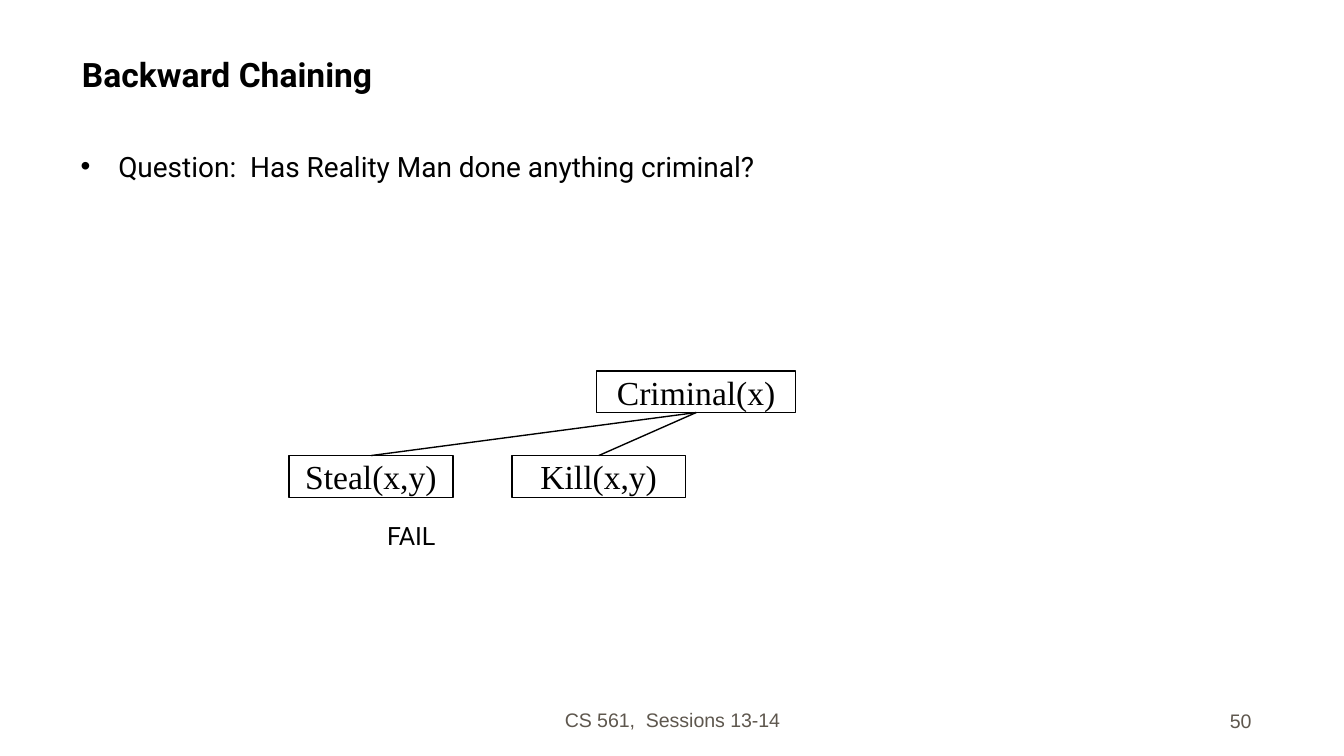
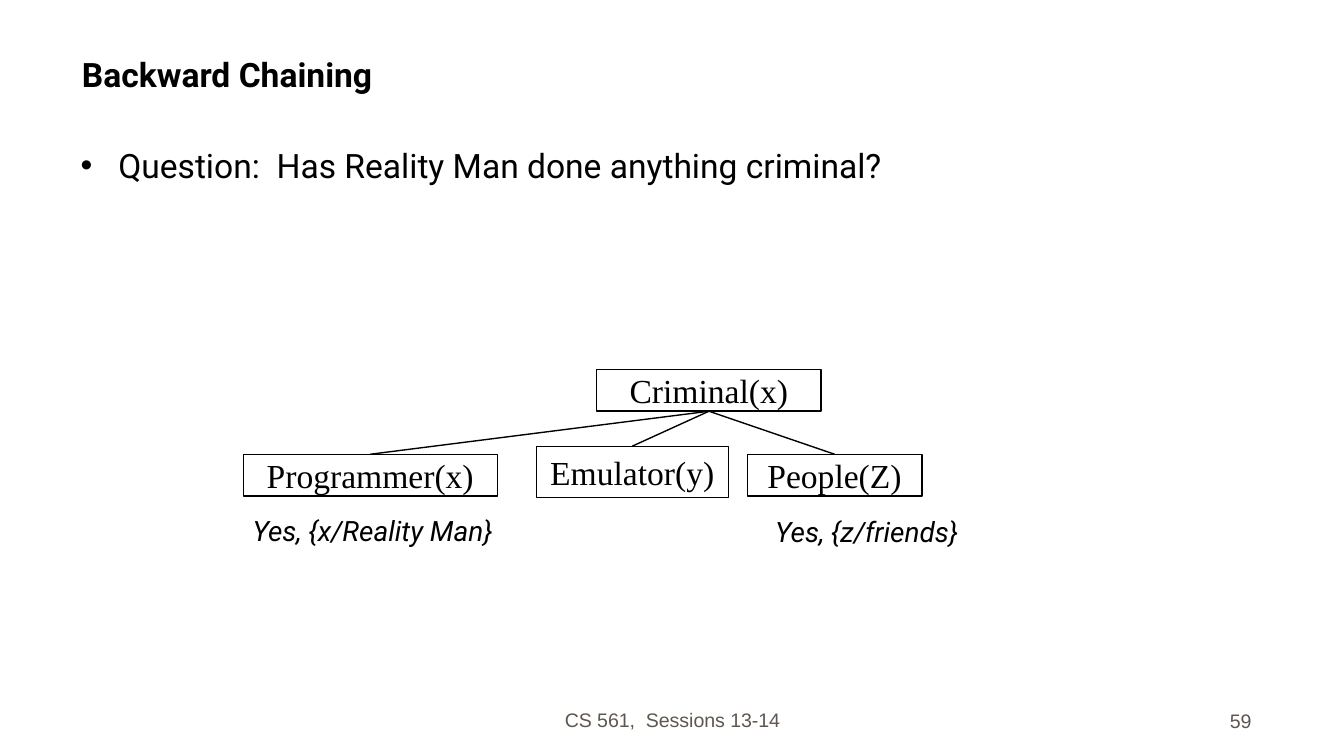
from dataclasses import dataclass
from typing import Optional

from lxml.etree import SubElement
from pptx import Presentation
from pptx.dml.color import RGBColor
from pptx.enum.shapes import MSO_CONNECTOR as Connector, MSO_SHAPE as Preset
from pptx.enum.text import MSO_ANCHOR as Anchor, MSO_AUTO_SIZE as AutoSize, PP_ALIGN as Align
from pptx.oxml.ns import qn
from pptx.util import Emu, Inches, Pt

# Shared look
SLIDE_WIDTH = Inches(10)
SLIDE_HEIGHT = Emu(SLIDE_WIDTH * 9 // 16)
COLUMNS = 100  # square grid: rows are as tall as columns are wide
BLACK, FOOTER_GREY = "000000", "5E574E"
TITLE_FONT, NODE_FONT, FOOTER_FONT = "Roboto", "Times New Roman", "Arial"
TITLE = "Backward Chaining"
QUESTION = "Question:  Has Reality Man done anything criminal?"
FOOTER = "CS 561,  Sessions 13-14"
LEVEL_GAP = 6.3
LINE_WIDTH = 0.75


@dataclass(frozen=True)
class Box:
    left: float
    top: float
    width: float
    height: float = 3.1


@dataclass(frozen=True)
class Node:
    label: str
    left: float
    width: float
    rise: float = 0  # how far the top is lifted above its level
    extra_height: float = 0


@dataclass(frozen=True)
class Answer:
    text: str
    indent: float  # measured from the left text edge of the body
    gap: float  # points between the question and the answer


@dataclass(frozen=True)
class SideAnswer:
    text: str
    box: Box


@dataclass(frozen=True)
class ChainSlide:
    number: str
    question_size: float
    line_spacing: float
    answer_size: float
    answer_italic: bool
    answer: Answer
    side_answer: Optional[SideAnswer]
    tree_top: float
    root: Node
    children: tuple[Node, ...]


TITLE_BOX = Box(5.1, 1.9, 89.2, 5.6)
BODY_BOX = Box(5, 10.6, 89.4, 39.1)
FOOTER_BOX = Box(34.2, 51.1, 31.7, 3.8)
NUMBER_BOX = Box(73.3, 51.2, 20.8, 3.8)

SLIDES = (
    ChainSlide(
        "50", 15, 1, 13.5, False, Answer("FAIL", 22.8, 181), None, 27.6,
        Node("Criminal(x)", 44.4, 14.8),
        (Node("Kill(x,y)", 38.1, 12.9), Node("Steal(x,y)", 21.5, 12.2)),
    ),
    ChainSlide(
        "59", 18, 0.9, 15, True, Answer("Yes, {x/Reality Man}", 12.8, 178),
        SideAnswer("Yes, {z/friends}", Box(56.7, 37.8, 18, 3.5)), 27.5,
        Node("Criminal(x)", 44.4, 16.7),
        (
            Node("People(Z)", 55.6, 13),
            Node("Programmer(x)", 18.1, 18.9),
            Node("Emulator(y)", 39.9, 14.3, rise=0.6, extra_height=0.7),
        ),
    ),
)


def grid(units: float) -> Emu:
    return Emu(round(units * SLIDE_WIDTH / COLUMNS))


def frame(box: Box) -> tuple[Emu, ...]:
    return tuple(grid(units) for units in (box.left, box.top, box.width, box.height))


def color(hex_value: str) -> RGBColor:
    return RGBColor.from_string(hex_value)


def place(shape, box: Box) -> None:
    shape.left, shape.top, shape.width, shape.height = frame(box)


def add_run(paragraph, text: str, size: float, font: str, hex_value: str = BLACK,
            bold: bool = False, italic: bool = False) -> None:
    run = paragraph.add_run()
    run.text = text
    run.font.size, run.font.name = Pt(size), font
    run.font.bold, run.font.italic = bold, italic
    run.font.color.rgb = color(hex_value)


def set_frame(shape, anchor: Anchor, wrap: bool = True):
    """Set the shared text behaviour and return the first paragraph."""
    text_frame = shape.text_frame
    text_frame.auto_size = AutoSize.NONE
    text_frame.word_wrap = wrap
    text_frame.vertical_anchor = anchor
    return text_frame.paragraphs[0]


def set_indent(paragraph, left: float, first: float):
    properties = paragraph._p.get_or_add_pPr()
    properties.set("marL", str(grid(left)))
    properties.set("indent", str(grid(first)))
    return properties


# Title, body and footers
def add_title(slide) -> None:
    title = slide.shapes.title
    place(title, TITLE_BOX)
    paragraph = set_frame(title, Anchor.BOTTOM)
    paragraph.alignment = Align.LEFT
    add_run(paragraph, TITLE, 18, TITLE_FONT, bold=True)


def add_body(slide, content: ChainSlide) -> None:
    body = slide.placeholders[1]
    place(body, BODY_BOX)
    question = set_frame(body, Anchor.TOP)
    question.line_spacing = content.line_spacing
    question.space_before = Pt(0)
    properties = set_indent(question, 2.8, -2.8)
    bullet_color = SubElement(properties, qn("a:buClr"))
    SubElement(bullet_color, qn("a:srgbClr"), val=BLACK)
    SubElement(properties, qn("a:buFont"), typeface="Arial")
    SubElement(properties, qn("a:buChar"), char="•")
    add_run(question, QUESTION, content.question_size, TITLE_FONT)

    # The answer stands below the tree, under its node
    answer = body.text_frame.add_paragraph()
    answer.line_spacing = content.line_spacing
    answer.space_before = Pt(content.answer.gap)
    SubElement(set_indent(answer, content.answer.indent, 0), qn("a:buNone"))
    add_run(answer, content.answer.text, content.answer_size, TITLE_FONT,
            italic=content.answer_italic)


def add_side_answer(slide, content: ChainSlide) -> None:
    side = content.side_answer
    if side:
        paragraph = set_frame(slide.shapes.add_textbox(*frame(side.box)), Anchor.TOP)
        add_run(paragraph, side.text, content.answer_size, TITLE_FONT,
                italic=content.answer_italic)


def add_footer(slide, text: str, box: Box, alignment: Align) -> None:
    paragraph = set_frame(slide.shapes.add_textbox(*frame(box)), Anchor.BOTTOM)
    paragraph.alignment = alignment
    add_run(paragraph, text, 10.5, FOOTER_FONT, FOOTER_GREY)


# Proof tree
def add_node(slide, node: Node, level_top: float):
    box = Box(node.left, level_top - node.rise, node.width, Box.height + node.extra_height)
    shape = slide.shapes.add_shape(Preset.RECTANGLE, *frame(box))
    shape.shadow.inherit = False
    shape.fill.background()
    shape.line.color.rgb = color(BLACK)
    shape.line.width = Pt(LINE_WIDTH)
    paragraph = set_frame(shape, Anchor.MIDDLE, wrap=False)
    paragraph.alignment = Align.CENTER
    add_run(paragraph, node.label, 18, NODE_FONT)
    return shape


def add_branch(slide, parent, child) -> None:
    branch = slide.shapes.add_connector(Connector.STRAIGHT, 0, 0, 0, 0)
    branch.begin_connect(parent, 2)
    branch.end_connect(child, 0)
    branch.line.color.rgb = color(BLACK)
    branch.line.width = Pt(LINE_WIDTH)
    SubElement(branch._element.spPr, qn("a:effectLst"))


def add_tree(slide, content: ChainSlide) -> None:
    root = add_node(slide, content.root, content.tree_top)
    for node in content.children:
        add_branch(slide, root, add_node(slide, node, content.tree_top + LEVEL_GAP))


def main() -> None:
    presentation = Presentation()
    presentation.slide_width, presentation.slide_height = SLIDE_WIDTH, SLIDE_HEIGHT
    for content in SLIDES:
        slide = presentation.slides.add_slide(presentation.slide_layouts[1])
        add_footer(slide, FOOTER, FOOTER_BOX, Align.CENTER)
        add_footer(slide, content.number, NUMBER_BOX, Align.RIGHT)
        add_title(slide)
        add_body(slide, content)
        add_side_answer(slide, content)
        add_tree(slide, content)
    presentation.save("out.pptx")


if __name__ == "__main__":
    main()
